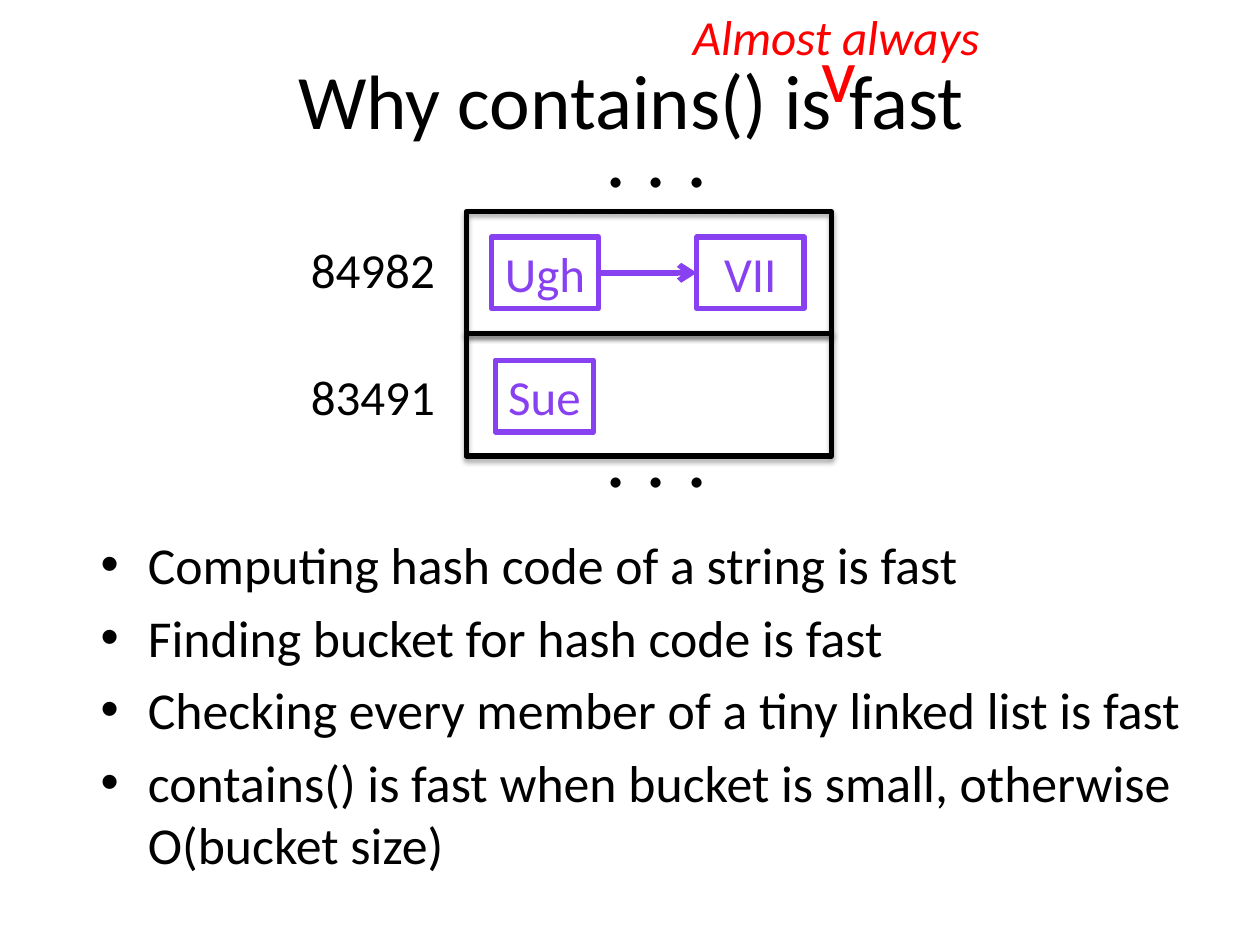
from dataclasses import dataclass

from lxml.etree import SubElement
from pptx import Presentation
from pptx.dml.color import RGBColor
from pptx.enum.shapes import MSO_CONNECTOR, MSO_SHAPE
from pptx.enum.text import MSO_ANCHOR, MSO_AUTO_SIZE, PP_ALIGN
from pptx.oxml.ns import qn
from pptx.util import Pt

COLORS = {"black": "000000", "purple": "8841F0", "red": "FF0000"}
FONT = "Calibri"


@dataclass
class Label:
    text: str
    x: float
    y: float
    w: float
    h: float = 41
    size: float = 28
    color: str = "black"
    italic: bool = False


@dataclass
class Node:
    text: str
    x: float
    y: float
    w: float
    wrap: bool = False
    h: float = 41


def rgb(name: str) -> RGBColor:
    return RGBColor.from_string(COLORS[name])


def add_run(p, text: str, size: float, color: str, italic: bool = False) -> None:
    r = p.add_run()
    r.text = text
    r.font.name = FONT
    r.font.size = Pt(size)
    r.font.color.rgb = rgb(color)
    if italic:
        r.font.italic = True


def add_label(s, label: Label) -> None:
    tb = s.shapes.add_textbox(Pt(label.x), Pt(label.y), Pt(label.w), Pt(label.h))
    tf = tb.text_frame
    tf.word_wrap = False
    tf.auto_size = MSO_AUTO_SIZE.SHAPE_TO_FIT_TEXT
    add_run(tf.paragraphs[0], label.text, label.size, label.color, label.italic)


def add_box(s, x: float, y: float, w: float, h: float, color: str):
    sp = s.shapes.add_shape(MSO_SHAPE.RECTANGLE, Pt(x), Pt(y), Pt(w), Pt(h))
    sp.fill.background()
    sp.line.color.rgb = rgb(color)
    sp.line.width = Pt(3)
    sp.shadow.inherit = False
    return sp


def add_node(s, node: Node):
    sp = add_box(s, node.x, node.y, node.w, node.h, "purple")
    tf = sp.text_frame
    tf.word_wrap = node.wrap
    tf.auto_size = MSO_AUTO_SIZE.SHAPE_TO_FIT_TEXT
    tf.vertical_anchor = MSO_ANCHOR.TOP
    p = tf.paragraphs[0]
    p.alignment = PP_ALIGN.CENTER
    add_run(p, node.text, 28, "purple")
    return sp


def add_bucket(s, x: float, y: float, w: float, h: float) -> None:
    sp = add_box(s, x, y, w, h, "black")
    effects = sp._element.spPr.find(qn("a:effectLst"))
    shadow = SubElement(effects, qn("a:outerShdw"), blurRad=str(Pt(3.1)),
                        dist=str(Pt(1.8)), dir="5400000", rotWithShape="0")
    color = SubElement(shadow, qn("a:srgbClr"), val=COLORS["black"])
    SubElement(color, qn("a:alpha"), val="35000")


def add_link(s, start, end) -> None:
    c = s.shapes.add_connector(MSO_CONNECTOR.STRAIGHT, 0, 0, 0, 0)
    c.begin_connect(start, 3)
    c.end_connect(end, 1)
    c.line.color.rgb = rgb("purple")
    c.line.width = Pt(3.25)
    SubElement(c.line._get_or_add_ln(), qn("a:tailEnd"), type="arrow")
    SubElement(c._element.spPr, qn("a:effectLst"))


def add_bullets(s, items: list[str]) -> None:
    tb = s.shapes.add_textbox(Pt(50.4), Pt(301), Pt(648), Pt(221.8))
    tf = tb.text_frame
    tf.word_wrap = True
    for i, item in enumerate(items):
        p = tf.add_paragraph() if i else tf.paragraphs[0]
        p.space_before = Pt(5.9)
        pPr = p._p.get_or_add_pPr()
        pPr.set("marL", str(Pt(27)))
        pPr.set("indent", str(-Pt(27)))
        SubElement(pPr, qn("a:buFont"), typeface="Arial")
        SubElement(pPr, qn("a:buChar"), char="•")
        add_run(p, item, 29.6, "black")


def main() -> None:
    prs = Presentation()
    prs.slide_width, prs.slide_height = Pt(720), Pt(540)
    s = prs.slides.add_slide(prs.slide_layouts[5])

    # Title
    title = s.shapes.title
    title.left, title.top = Pt(36.7), Pt(11.5)
    title.width, title.height = Pt(648), Pt(90)
    tf = title.text_frame
    tf.vertical_anchor = MSO_ANCHOR.MIDDLE
    p = tf.paragraphs[0]
    p.alignment = PP_ALIGN.CENTER
    add_run(p, "Why contains() is fast", 44, "black")

    # Claims
    add_bullets(s, [
        "Computing hash code of a string is fast",
        "Finding bucket for hash code is fast",
        "Checking every member of a tiny linked list is fast",
        "contains() is fast when bucket is small, otherwise O(bucket size)",
    ])

    # Hash table buckets and their linked lists
    bucket_h = 69.8
    for row in range(2):
        add_bucket(s, 266.4, 121 + row * bucket_h, 208.8, bucket_h)
    ugh = add_node(s, Node("Ugh", 280.8, 135.4, 61.2))
    vii = add_node(s, Node("VII", 398.2, 135.4, 61.2, wrap=True))
    add_node(s, Node("Sue", 283, 205.9, 56.2))
    add_link(s, ugh, vii)

    # Ellipses, hash codes and the red insertion
    for label in (
        Label(". . .", 339.1, 55.4, 73.4, 65.5, 48),
        Label(". . .", 339.1, 226.8, 73.4, 65.5, 48),
        Label("84982", 170.6, 133.2, 86.4),
        Label("83491", 170.6, 205.9, 86.4),
        Label("Almost always", 388.8, 0, 187.9, color="red", italic=True),
        Label("v", 462.2, 10.8, 34.6, 60.5, 44, "red"),
    ):
        add_label(s, label)

    prs.save("out.pptx")


if __name__ == "__main__":
    main()
